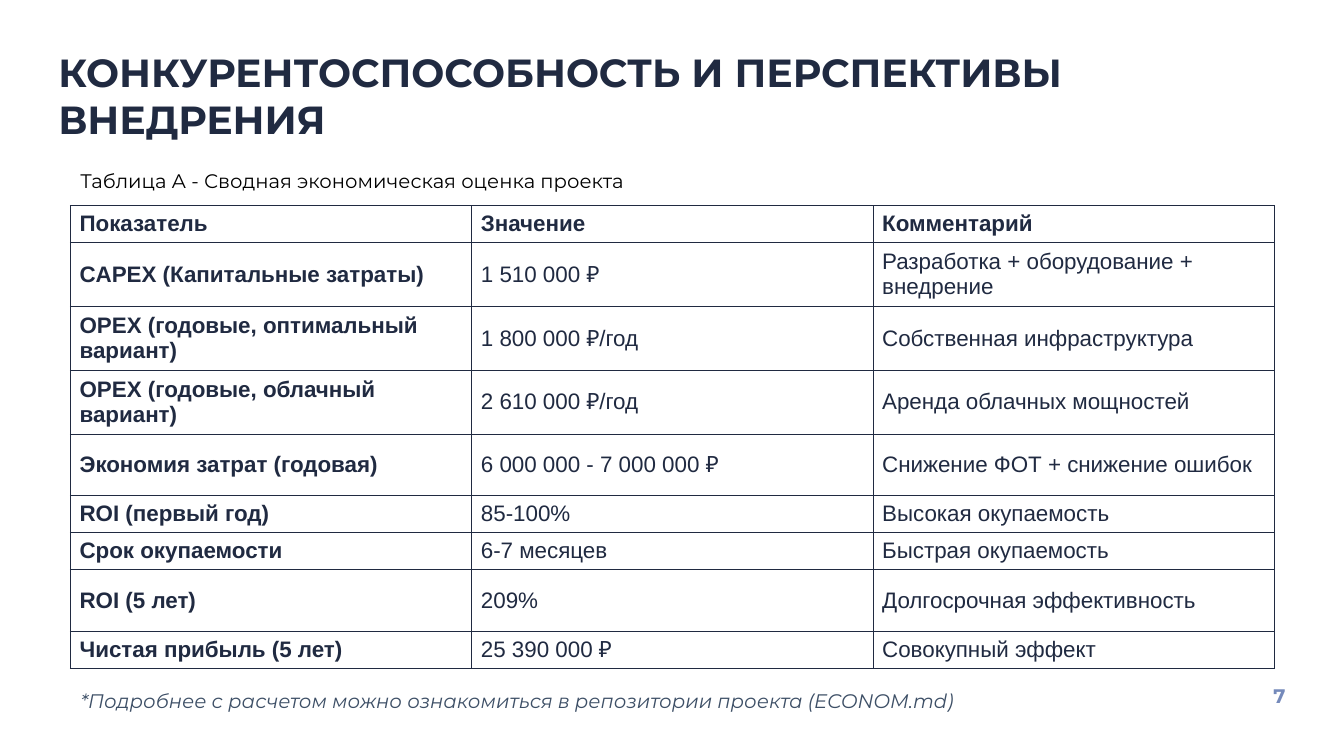
from lxml import etree
from pptx import Presentation
from pptx.dml.color import RGBColor
from pptx.enum.text import MSO_ANCHOR
from pptx.oxml.ns import qn
from pptx.util import Pt

PX = 9144
MIDDLE = MSO_ANCHOR.MIDDLE
COLORS = {
    "background": "FFFFFF",
    "ink": "202A41",
    "caption": "000000",
    "note": "3D4F66",
    "number": "758ABB",
}
HEADING_FONT = "Montserrat"
TABLE_FONT = "Arial"
BORDER_WIDTH = Pt(1)
SHORT_ROW, TALL_ROW = 34, 61
INDICATORS = [
    (SHORT_ROW, "Показатель", "Значение", "Комментарий"),
    (TALL_ROW, "CAPEX (Капитальные затраты)", "1 510 000 ₽", "Разработка + оборудование + внедрение"),
    (TALL_ROW, "OPEX (годовые, оптимальный вариант)", "1 800 000 ₽/год", "Собственная инфраструктура"),
    (TALL_ROW, "OPEX (годовые, облачный вариант)", "2 610 000 ₽/год", "Аренда облачных мощностей"),
    (TALL_ROW, "Экономия затрат (годовая)", "6 000 000 - 7 000 000 ₽", "Снижение ФОТ + снижение ошибок"),
    (SHORT_ROW, "ROI (первый год)", "85-100%", "Высокая окупаемость"),
    (SHORT_ROW, "Срок окупаемости", "6-7 месяцев", "Быстрая окупаемость"),
    (TALL_ROW, "ROI (5 лет)", "209%", "Долгосрочная эффективность"),
    (SHORT_ROW, "Чистая прибыль (5 лет)", "25 390 000 ₽", "Совокупный эффект"),
]


def scale(*lengths):
    return [length * PX for length in lengths]


def add_run(paragraph, text, size, font_name, color, bold=False, italic=False):
    run = paragraph.add_run()
    run.text = text
    font = run.font
    font.size = Pt(size)
    font.name = font_name
    font.bold = bold
    font.italic = italic
    font.color.rgb = RGBColor.from_string(COLORS[color])


def add_label(slide, box, text, size, color, insets=(10, 5), line_spacing=None, **style):
    frame = slide.shapes.add_textbox(*scale(*box)).text_frame
    frame.word_wrap = True
    frame.margin_left = frame.margin_right = insets[0] * PX
    frame.margin_top = frame.margin_bottom = insets[1] * PX
    paragraph = frame.paragraphs[0]
    if line_spacing:
        paragraph.line_spacing = line_spacing
    add_run(paragraph, text, size, HEADING_FONT, color, **style)


def set_borders(cell):
    properties = cell._tc.get_or_add_tcPr()
    for position, side in enumerate(("a:lnL", "a:lnR", "a:lnT", "a:lnB")):
        line = etree.Element(qn(side), w=str(BORDER_WIDTH))
        fill = etree.SubElement(line, qn("a:solidFill"))
        etree.SubElement(fill, qn("a:srgbClr"), val=COLORS["ink"])
        properties.insert(position, line)


def add_indicator_table(slide, box):
    column_count = len(INDICATORS[0]) - 1
    table = slide.shapes.add_table(len(INDICATORS), column_count, *scale(*box)).table
    table.first_row = table.horz_banding = False
    for column in table.columns:
        column.width = box[2] * PX // column_count
    for row_index, (height, *texts) in enumerate(INDICATORS):
        table.rows[row_index].height = height * PX
        for column_index, text in enumerate(texts):
            cell = table.cell(row_index, column_index)
            cell.fill.background()
            cell.vertical_anchor = MIDDLE
            cell.margin_left = cell.margin_right = 9 * PX
            cell.margin_top = cell.margin_bottom = 5 * PX
            is_heading = row_index == 0 or column_index == 0
            add_run(cell.text_frame.paragraphs[0], text, 16, TABLE_FONT, "ink", bold=is_heading)
            set_borders(cell)


def build_economics_slide(presentation):
    slide = presentation.slides.add_slide(presentation.slide_layouts[6])
    background = slide.background.fill
    background.solid()
    background.fore_color.rgb = RGBColor.from_string(COLORS["background"])
    add_label(slide, (48, 38, 1125, 84), "КОНКУРЕНТОСПОСОБНОСТЬ И ПЕРСПЕКТИВЫ ВНЕДРЕНИЯ",
              28, "ink", insets=(10, 10), bold=True)
    add_label(slide, (70, 149, 604, 43), "Таблица А - Сводная экономическая оценка проекта",
              14, "caption", line_spacing=1.6)
    table_height = sum(row[0] for row in INDICATORS)
    add_indicator_table(slide, (70, 204, 1194, table_height))
    add_label(slide, (70, 665, 929, 43),
              "*Подробнее с расчетом можно ознакомиться в репозитории проекта (ECONOM.md)",
              14, "note", line_spacing=1.6, italic=True)
    add_label(slide, (1253, 674, 31, 34), "7", 14, "number", bold=True)


def main():
    presentation = Presentation()
    presentation.slide_width, presentation.slide_height = scale(1333, 750)
    build_economics_slide(presentation)
    presentation.save("out.pptx")


if __name__ == "__main__":
    main()
